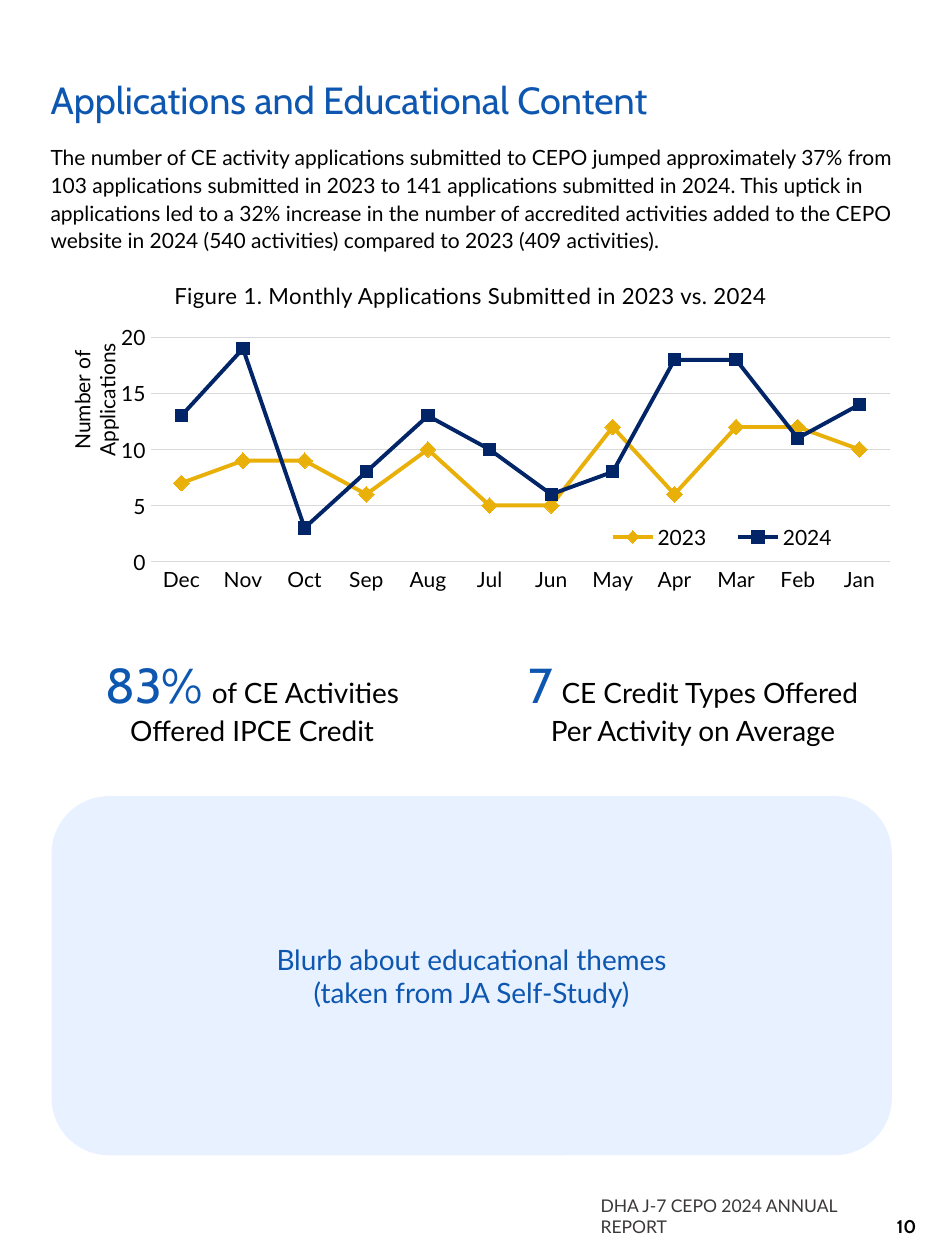
"""Build the report page on monthly applications and educational content."""
from lxml import etree
from pptx import Presentation
from pptx.chart.data import CategoryChartData
from pptx.dml.color import RGBColor
from pptx.enum.chart import XL_CHART_TYPE, XL_LEGEND_POSITION, XL_MARKER_STYLE, XL_TICK_MARK
from pptx.enum.shapes import MSO_SHAPE
from pptx.enum.text import MSO_ANCHOR, MSO_AUTO_SIZE, PP_ALIGN
from pptx.oxml.ns import qn
from pptx.util import Cm, Pt

BLUE, NAVY, GOLD, PALE = "0D57B0", "022568", "E9B009", "E8F1FF"
BLACK, GRAY, GRID = "000000", "3B3838", "D9D9D9"


def paint(color_format, color):
    color_format.rgb = RGBColor.from_string(color)


def style(font, name, size, color, bold=False):
    font.name, font.size, font.bold = name, Pt(size), bold
    paint(font.color, color)


report = Presentation()
report.slide_width, report.slide_height = Cm(19.05), Cm(25.4)
page = report.slides.add_slide(report.slide_layouts[5])

heading = page.shapes.title
heading.left, heading.top, heading.width, heading.height = Cm(0), Cm(1.4), Cm(19.05), Cm(1.32)
heading.text_frame.text = "Applications and Educational Content"
summary = page.shapes.add_textbox(Cm(0), Cm(2.62), Cm(19.05), Cm(4.14))
summary.text_frame.text = (
    "The number of CE activity applications submitted to CEPO jumped approximately 37% from "
    "103 applications submitted in 2023 to 141 applications submitted in 2024. This uptick in "
    "applications led to a 32% increase in the number of accredited activities added to the CEPO "
    "website in 2024 (540 activities) compared to 2023 (409 activities).")
for block, anchor, spacing, font in (
        (heading, MSO_ANCHOR.MIDDLE, 0.9, ("Cabin", 21.6, BLUE)),
        (summary, MSO_ANCHOR.TOP, 1.1, ("Lato", 12, BLACK))):
    frame = block.text_frame
    frame.word_wrap, frame.auto_size, frame.vertical_anchor = True, MSO_AUTO_SIZE.NONE, anchor
    frame.margin_left = frame.margin_right = Cm(1.02)
    frame.margin_top = frame.margin_bottom = Cm(0.25)
    frame.paragraphs[0].alignment = PP_ALIGN.LEFT
    frame.paragraphs[0].line_spacing = spacing
    style(frame.paragraphs[0].font, *font)

for left, width, words, align, font in (
        (11.86, 6.45, "DHA J-7 CEPO 2024 ANNUAL REPORT", PP_ALIGN.LEFT, ("Lato", 10, GRAY)),
        (16.28, 2.44, "10", PP_ALIGN.RIGHT, ("Cabin", 10.5, BLACK, True))):
    footer = page.shapes.add_textbox(Cm(left), Cm(23.8), Cm(width), Cm(1.27)).text_frame
    footer.word_wrap, footer.vertical_anchor = True, MSO_ANCHOR.BOTTOM
    footer.text = words
    footer.paragraphs[0].alignment = align
    style(footer.paragraphs[0].font, *font)

caption = page.shapes.add_textbox(Cm(1.02), Cm(5.46), Cm(16.94), Cm(0.84)).text_frame
caption.word_wrap = True
caption.text = "Figure 1. Monthly Applications Submitted in 2023 vs. 2024"
caption.paragraphs[0].alignment = PP_ALIGN.CENTER
caption.paragraphs[0].line_spacing = 1.2
style(caption.paragraphs[0].font, "Lato", 12.7, BLACK)
caption.paragraphs[0].runs[0].font._element.set("spc", "20")

monthly = CategoryChartData(number_format="#,##0")
monthly.categories = "Dec Nov Oct Sep Aug Jul Jun May Apr Mar Feb Jan".split()
monthly.add_series("2023", (7, 9, 9, 6, 10, 5, 5, 12, 6, 12, 12, 10))
monthly.add_series("2024", (13, 19, 3, 8, 13, 10, 6, 8, 18, 18, 11, 14))
chart = page.shapes.add_chart(
    XL_CHART_TYPE.LINE_MARKERS, Cm(1.02), Cm(6.55), Cm(16.94), Cm(5.66), monthly).chart
chart.has_title = False
style(chart.font, "Lato", 10, BLACK)
chart.plots[0].vary_by_categories = False
for series, color, marker, size in zip(
        chart.plots[0].series, (GOLD, NAVY), (XL_MARKER_STYLE.DIAMOND, XL_MARKER_STYLE.SQUARE), (9, 7)):
    series.smooth = False
    series.format.line.width = Pt(2.25)
    paint(series.format.line.color, color)
    series.marker.style, series.marker.size = marker, size
    series.marker.format.fill.solid()
    paint(series.marker.format.fill.fore_color, color)
    paint(series.marker.format.line.color, color)

months, counts = chart.category_axis, chart.value_axis
for axis in (months, counts):
    axis.major_tick_mark = axis.minor_tick_mark = XL_TICK_MARK.NONE
    style(axis.tick_labels.font, "Lato", 12, BLACK)
counts.minimum_scale, counts.maximum_scale, counts.major_unit = 0, 20, 5
counts.format.line.fill.background()
for rule in (months.format.line, counts.major_gridlines.format.line):
    rule.width = Pt(0.75)
    paint(rule.color, GRID)

axis_title = counts.axis_title.text_frame
axis_title.text = "Number of\nApplications"
for line in axis_title.paragraphs:
    style(line.font, "Lato", 12, BLACK)
turn = axis_title._txBody.find(qn("a:bodyPr"))
turn.set("rot", "-5400000")
turn.set("vert", "horz")

chart.has_legend = True
chart.legend.position = XL_LEGEND_POSITION.BOTTOM
chart.legend.include_in_layout = False
style(chart.legend.font, "Lato", 12, BLACK)

for part, index, bounds in (
        (chart._chartSpace.chart.plotArea, 0, (0.119, 0.044, 0.881, 0.799)),
        (chart.legend._element, 1, (0.64, 0.7, 0.32, 0.11)),
        (counts.axis_title._element, 1, (0.015, 0.05))):
    for old in part.findall(qn("c:layout")):
        part.remove(old)
    layout = etree.Element(qn("c:layout"))
    part.insert(index, layout)
    manual = etree.SubElement(layout, qn("c:manualLayout"))
    if index == 0:
        etree.SubElement(manual, qn("c:layoutTarget")).set("val", "inner")
    for mode in ("xMode", "yMode"):
        etree.SubElement(manual, qn(f"c:{mode}")).set("val", "edge")
    for side, share in zip("xywh", bounds):
        etree.SubElement(manual, qn(f"c:{side}")).set("val", str(share))

LARGE, GAP, BODY = ("Cabin", 28, BLUE), ("Lato", 20, BLUE), ("Lato", 16, BLACK)
for left, top, width, height, fill, lines in (
        (1.04, 16.05, 16.94, 7.24, PALE,
         ([("Blurb about educational themes", ("Lato", 16, BLUE))],
          [("(taken from JA Self-Study)", ("Lato", 16, BLUE))])),
        (1.02, 12.57, 8.13, 3.12, None,
         ([("83%", LARGE), (" ", GAP), ("of CE Activities Offered IPCE Credit", BODY)],)),
        (9.91, 12.57, 8.13, 3.12, None,
         ([("7", LARGE), (" ", GAP), ("CE Credit Types Offered", BODY)],
          [("Per Activity on Average", BODY)]))):
    card = page.shapes.add_shape(
        MSO_SHAPE.ROUNDED_RECTANGLE, Cm(left), Cm(top), Cm(width), Cm(height))
    card.adjustments[0] = 0.16
    card.shadow.inherit = False
    card.line.fill.background()
    if fill:
        card.fill.solid()
        paint(card.fill.fore_color, fill)
    else:
        card.fill.background()
    card.text_frame.word_wrap = True
    card.text_frame.vertical_anchor = MSO_ANCHOR.MIDDLE
    message = card.text_frame.paragraphs[0]
    message.alignment = PP_ALIGN.CENTER
    for number, pieces in enumerate(lines):
        if number:
            message.add_line_break()
        for words, font in pieces:
            run = message.add_run()
            run.text = words
            style(run.font, *font)

report.save("out.pptx")
